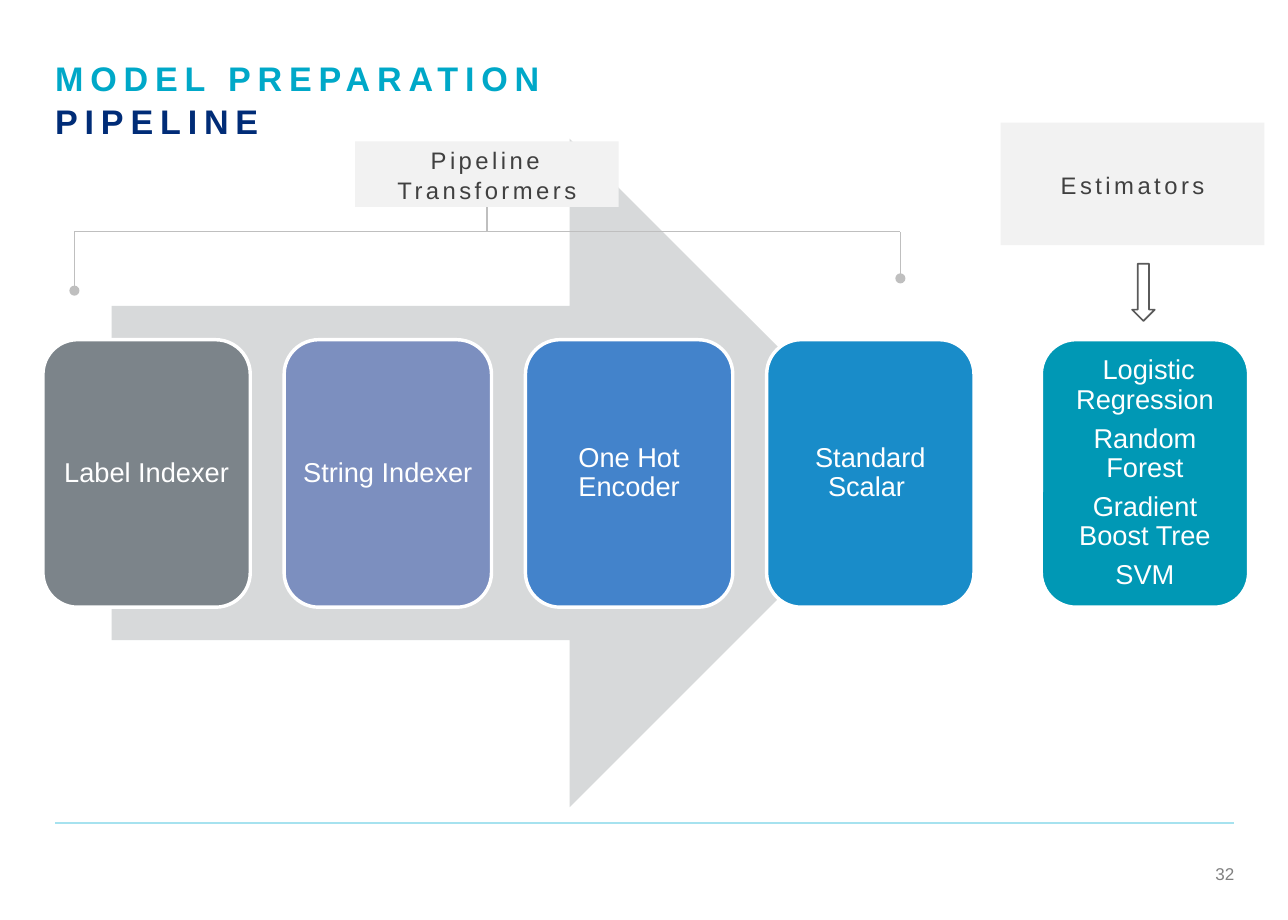
from lxml import etree
from pptx import Presentation
from pptx.dml.color import RGBColor
from pptx.enum import shapes, text
from pptx.oxml import ns
from pptx.util import Pt

WHITE = RGBColor(0xFF, 0xFF, 0xFF)
CYAN = RGBColor(0x00, 0xA8, 0xC8)
NAVY = RGBColor(0x00, 0x2C, 0x77)
PALE_CYAN = RGBColor(0xA6, 0xE2, 0xEF)
PALE_GREY = RGBColor(0xF2, 0xF2, 0xF2)
ARROW_GREY = RGBColor(0xD7, 0xD9, 0xDA)
LINE_GREY = RGBColor(0xBF, 0xBF, 0xBF)
NUMBER_GREY = RGBColor(0x80, 0x80, 0x80)
LABEL_GREY = RGBColor(0x40, 0x40, 0x40)
OUTLINE_GREY = RGBColor(0x5A, 0x5A, 0x5A)
SLATE = RGBColor(0x7C, 0x84, 0x8A)
LAVENDER = RGBColor(0x7C, 0x8F, 0xBF)
BLUE = RGBColor(0x43, 0x83, 0xCB)
BRIGHT_BLUE = RGBColor(0x19, 0x8C, 0xC9)
TEAL = RGBColor(0x00, 0x98, 0xB5)

TRANSFORMERS = [
    ("Label Indexer", SLATE),
    ("String Indexer", LAVENDER),
    ("One Hot Encoder", BLUE),
    ("Standard Scalar ", BRIGHT_BLUE),
]
ESTIMATORS = [" Logistic Regression", "Random Forest", "Gradient Boost Tree", "SVM"]
CARD_WIDTH, CARD_HEIGHT, CARD_PITCH = 121.7, 157, 141.6


def set_all(target, values):
    for name, value in values.items():
        setattr(target, name, value)


def write(shape, lines, size, align, inset=0, anchor=text.MSO_ANCHOR.MIDDLE,
          bold=False, tracking=0, spacing=1.0, after=0):
    """Fill a shape with one paragraph per (wording, colour) pair."""
    frame = shape.text_frame
    margins = dict.fromkeys(
        ["margin_left", "margin_top", "margin_right", "margin_bottom"], Pt(inset))
    set_all(frame, {**margins, "word_wrap": True, "vertical_anchor": anchor})
    for index, (wording, colour) in enumerate(lines):
        para = frame.add_paragraph() if index else frame.paragraphs[0]
        set_all(para, {"alignment": align, "line_spacing": spacing,
                       "space_after": Pt(after)})
        span = para.add_run()
        span.text = wording
        set_all(span.font, {"name": "Arial", "size": Pt(size), "bold": bold})
        span.font.color.rgb = colour
        if tracking:
            span._r.get_or_add_rPr().set("spc", str(tracking * 100))


def add_box(page, kind, left, top, width, height, fill, outline=None, weight=1):
    shape = page.shapes.add_shape(kind, Pt(left), Pt(top), Pt(width), Pt(height))
    shape.shadow.inherit = False
    shape.fill.solid()
    shape.fill.fore_color.rgb = fill
    if outline is None:
        shape.line.fill.background()
    else:
        shape.line.color.rgb = outline
        shape.line.width = Pt(weight)
    return shape


def add_line(page, start, end, colour, dot=False):
    """Draw a thin line, with a dot at its start if asked."""
    line = page.shapes.add_connector(
        shapes.MSO_CONNECTOR.STRAIGHT, *(Pt(value) for value in (*start, *end)))
    line.line.color.rgb = colour
    line.line.width = Pt(0.75)
    if dot:
        head = etree.SubElement(line.line._get_or_add_ln(), ns.qn("a:headEnd"))
        head.set("type", "oval")
    etree.SubElement(line._element.spPr, ns.qn("a:effectLst"))


def add_title(page, left, top, width, height):
    title = page.shapes.add_textbox(Pt(left), Pt(top), Pt(width), Pt(height))
    write(title, [("MODEL PREPARATION", CYAN), ("PIPELINE", NAVY)], 20,
          text.PP_ALIGN.LEFT, anchor=text.MSO_ANCHOR.TOP, bold=True,
          tracking=4, spacing=1.05)


def add_footer(page, left, top, width):
    add_line(page, (left, top), (left + width, top), PALE_CYAN)
    number = page.shapes.add_textbox(
        Pt(left + width - 35), Pt(top + 23.8), Pt(35), Pt(12.2))
    write(number, [("32", NUMBER_GREY)], 10, text.PP_ALIGN.RIGHT,
          anchor=text.MSO_ANCHOR.TOP)


def add_card(page, left, top, wordings, fill):
    card = add_box(page, shapes.MSO_SHAPE.ROUNDED_RECTANGLE, left, top,
                   CARD_WIDTH, CARD_HEIGHT, fill, WHITE, 2)
    write(card, [(wording, WHITE) for wording in wordings], 16,
          text.PP_ALIGN.CENTER, inset=4, spacing=0.9, after=5.6)


def add_label(page, left, top, width, height, wording):
    label = add_box(page, shapes.MSO_SHAPE.RECTANGLE, left, top, width, height, PALE_GREY)
    write(label, [(wording, LABEL_GREY)], 14, text.PP_ALIGN.CENTER, inset=5.8,
          tracking=2, spacing=1.05)


def add_transformers(page, left, top):
    """Place the big arrow, its four steps and the bracket that names them."""
    add_box(page, shapes.MSO_SHAPE.RIGHT_ARROW, left + 40.3, top - 118,
            465.1, 392.4, ARROW_GREY)
    for index, (wording, fill) in enumerate(TRANSFORMERS):
        add_card(page, left + index * CARD_PITCH, top, [wording], fill)
    bar, first, last, middle = top - 63.3, left + 18.5, left + 503.3, left + 260.6
    add_line(page, (first, bar), (last, bar), LINE_GREY)
    add_line(page, (first, top - 28.8), (first, bar), LINE_GREY, dot=True)
    add_line(page, (last, top - 36), (last, bar), LINE_GREY, dot=True)
    add_line(page, (middle, bar), (middle, bar - 27), LINE_GREY)
    add_label(page, middle - 77.4, top - 116.4, 154.8, 38.5, "Pipeline Transformers")


def add_estimators(page, left, top):
    add_label(page, left - 23.8, top - 127.4, 154.8, 72, "Estimators")
    add_box(page, shapes.MSO_SHAPE.DOWN_ARROW, left + 53.3, top - 44.6,
            13.3, 33.6, WHITE, OUTLINE_GREY)
    add_card(page, left, top, ESTIMATORS, TEAL)


def main():
    deck = Presentation()
    set_all(deck, {"slide_width": Pt(756), "slide_height": Pt(540)})
    page = deck.slides.add_slide(deck.slide_layouts[6])
    add_footer(page, 32.4, 483.1, 692)
    add_title(page, 32.4, 32.4, 692, 54.7)
    add_transformers(page, 25.2, 199.4)
    add_estimators(page, 611.2, 199.4)
    deck.save("out.pptx")


if __name__ == "__main__":
    main()
